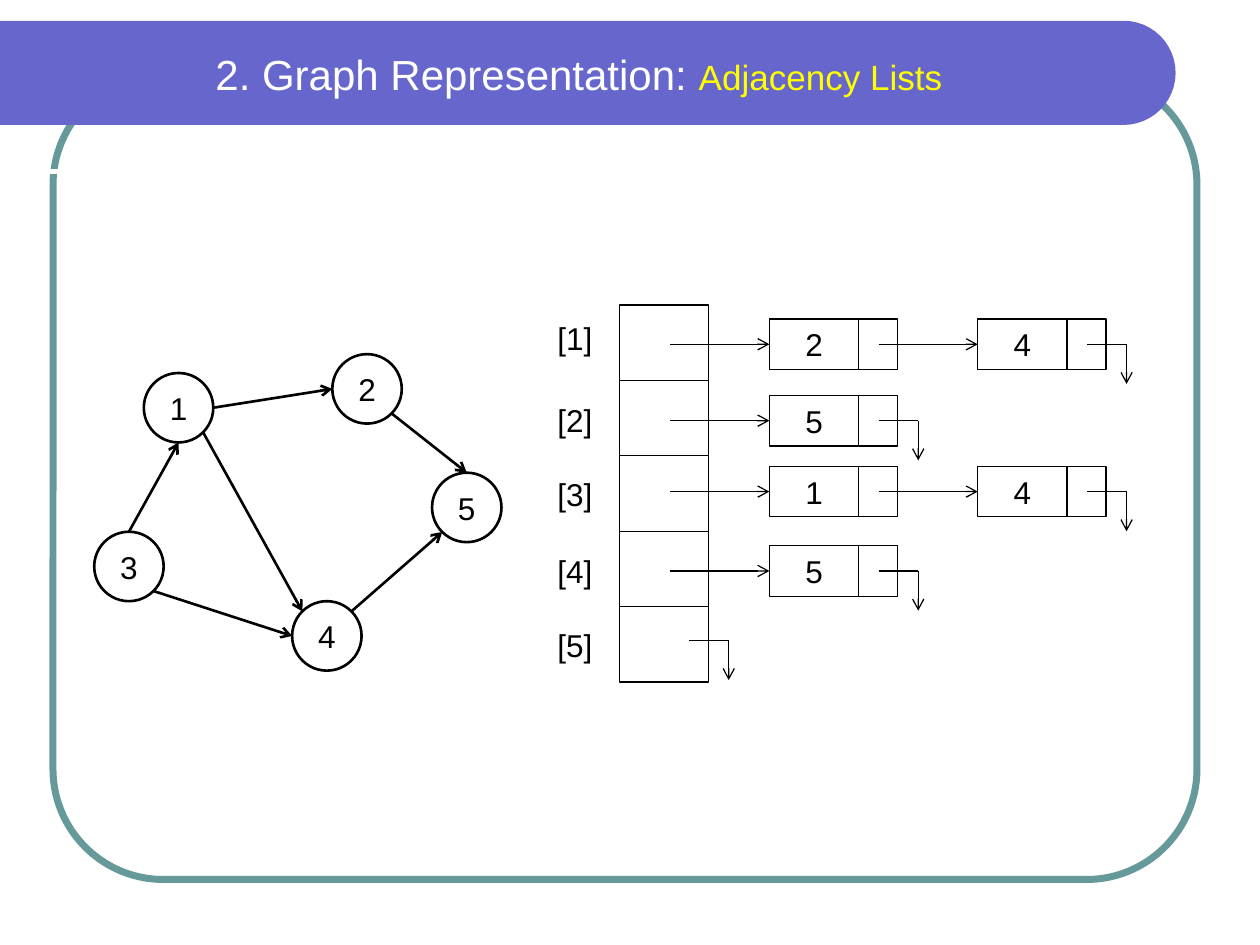
from dataclasses import dataclass
from math import cos, pi, sin

from lxml.etree import SubElement
from pptx import Presentation
from pptx.dml.color import RGBColor as RGB
from pptx.enum.shapes import MSO_CONNECTOR as Link, MSO_SHAPE as Preset
from pptx.enum.text import MSO_ANCHOR as Anchor, MSO_AUTO_SIZE as AutoSize, PP_ALIGN as Align
from pptx.oxml.ns import qn
from pptx.util import Cm, Pt


@dataclass(frozen=True)
class Theme:
    font: str = "Arial"
    ink: RGB = RGB(0x00, 0x00, 0x00)
    paper: RGB = RGB(0xFF, 0xFF, 0xFF)
    banner: RGB = RGB(0x66, 0x66, 0xCC)
    frame: RGB = RGB(0x66, 0x99, 0x99)
    accent: RGB = RGB(0xFF, 0xFF, 0x00)
    title_size: float = 24
    subtitle_size: float = 20
    label_size: float = 18
    frame_line: float = 4
    rule_line: float = 3
    edge_line: float = 1.5
    cell_line: float = 0.75


THEME = Theme()

# Vertex: left and top inside the graph box, in cm
VERTICES = {"1": (1, 0.38), "2": (4.8, 0), "3": (0, 3.58), "4": (3.99, 4.98), "5": (6.81, 2.39)}
VERTEX_SIZE = 1.4
# Compass points as angles, clockwise from the right
E, SE, S, SW, W, NW, N, NE = (step * pi / 4 for step in range(8))
EDGES = [
    ("1", E, "2", W), ("3", N, "1", S), ("4", NE, "5", SW),
    ("2", SE, "5", N), ("3", SE, "4", W), ("1", SE, "4", NW),
]

# Head label, label top, list top, adjacent vertices
ADJACENCY = [
    ("[1]", 0.15, 0.28, ["2", "4"]),
    ("[2]", 1.8, 1.82, ["5"]),
    ("[3]", 3.3, 3.25, ["1", "4"]),
    ("[4]", 4.85, 4.85, ["5"]),
    ("[5]", 6.35, 6.25, []),
]
CELL_W, CELL_H, POINTER_W = 1.8, 1.02, 0.79
SLOT_H = 1.52
FIRST_CELL, CELL_PITCH = 4.82, 4.2
STUB = 0.8


def add_run(paragraph, text, size, color):
    run = paragraph.add_run()
    run.text = text
    for name, value in {"name": THEME.font, "size": Pt(size), "bold": False}.items():
        setattr(run.font, name, value)
    run.font.color.rgb = color


def format_frame(frame, anchor):
    formats = {
        "word_wrap": True, "auto_size": AutoSize.NONE, "vertical_anchor": anchor,
        "margin_left": Cm(0.25), "margin_right": Cm(0.25),
        "margin_top": Cm(0.13), "margin_bottom": Cm(0.13),
    }
    for name, value in formats.items():
        setattr(frame, name, value)
    frame.paragraphs[0].alignment = Align.CENTER
    return frame.paragraphs[0]


def add_outline(shapes, preset, left, top, width, height, line, color=THEME.ink):
    outline = shapes.add_shape(preset, Cm(left), Cm(top), Cm(width), Cm(height))
    outline.shadow.inherit = False
    outline.fill.background()
    outline.line.color.rgb = color
    outline.line.width = Pt(line)
    return outline


def add_line(shapes, start, end, width, color=THEME.ink, arrow=False):
    line = shapes.add_connector(Link.STRAIGHT, *(Cm(n) for n in (*start, *end)))
    line.line.color.rgb = color
    line.line.width = Pt(width)
    properties = line.element.spPr
    if arrow:
        SubElement(properties.find(qn("a:ln")), qn("a:tailEnd"), type="arrow")
    SubElement(properties, qn("a:effectLst"))


def draw_backdrop(shapes, left, top, width, height):
    """Rounded frame with the banner and the white rule across its top."""
    frame = add_outline(shapes, Preset.ROUNDED_RECTANGLE, left, top, width, height,
                        THEME.frame_line, THEME.frame)
    frame.adjustments[0] = 0.137

    banner_top, radius, center_x = top - 1.08, 1.05, left + 21.58
    arc = [(center_x + radius * cos(pi * (step / 24 - 0.5)),
            banner_top + radius * (1 + sin(pi * (step / 24 - 0.5)))) for step in range(25)]
    outline = shapes.build_freeform(0, Cm(banner_top))
    outline.add_line_segments([(Cm(x), Cm(y)) for x, y in arc] + [(0, Cm(banner_top + 2 * radius))])
    banner = outline.convert_to_shape()
    banner.shadow.inherit = False
    banner.fill.solid()
    banner.fill.fore_color.rgb = THEME.banner
    banner.line.fill.background()

    add_line(shapes, (0, top + 1.95), (left + 21.36, top + 1.95), THEME.rule_line, THEME.paper)


def place_title(title, left, top, width, height):
    box = {"left": left, "top": top, "width": width, "height": height}
    for name, value in box.items():
        setattr(title, name, Cm(value))
    heading = format_frame(title.text_frame, Anchor.MIDDLE)
    add_run(heading, "2. Graph Representation: ", THEME.title_size, THEME.paper)
    add_run(heading, "Adjacency Lists", THEME.subtitle_size, THEME.accent)
    # The title stands in front of the banner
    title.element.getparent().append(title.element)


def draw_graph(shapes, left, top):
    radius = VERTEX_SIZE / 2

    def rim(vertex, angle):
        x, y = VERTICES[vertex]
        return left + x + radius * (1 + cos(angle)), top + y + radius * (1 + sin(angle))

    for name, (x, y) in VERTICES.items():
        vertex = add_outline(shapes, Preset.OVAL, left + x, top + y,
                             VERTEX_SIZE, VERTEX_SIZE, THEME.edge_line)
        add_run(format_frame(vertex.text_frame, Anchor.MIDDLE), name, THEME.label_size, THEME.ink)
    for source, leaving, target, entering in EDGES:
        add_line(shapes, rim(source, leaving), rim(target, entering), THEME.edge_line, arrow=True)


def draw_list(shapes, left, top, neighbours):
    """Chain of cells, closed by a bent arrow for the null pointer."""
    middle = top + CELL_H / 2
    end = left + 3.2
    for index, neighbour in enumerate(neighbours):
        x = left + FIRST_CELL + index * CELL_PITCH
        cell = add_outline(shapes, Preset.RECTANGLE, x, top, CELL_W, CELL_H, THEME.cell_line)
        add_run(format_frame(cell.text_frame, Anchor.TOP), neighbour, THEME.label_size, THEME.ink)
        add_outline(shapes, Preset.RECTANGLE, x + CELL_W, top, POINTER_W, CELL_H, THEME.cell_line)
        add_line(shapes, (x - 2, middle), (x, middle), THEME.cell_line, arrow=True)
        end = x + 2.2
    corner = (end + STUB, middle)
    add_line(shapes, (end, middle), corner, THEME.cell_line)
    add_line(shapes, corner, (corner[0], middle + STUB), THEME.cell_line, arrow=True)


def draw_adjacency(shapes, left, top):
    for row, (head, label_top, list_top, neighbours) in enumerate(ADJACENCY):
        label = shapes.add_textbox(Cm(left), Cm(top + label_top), Cm(CELL_W), Cm(CELL_H))
        add_run(format_frame(label.text_frame, Anchor.TOP), head, THEME.label_size, THEME.ink)
        add_outline(shapes, Preset.RECTANGLE, left + CELL_W, top + row * SLOT_H,
                    CELL_W, SLOT_H, THEME.cell_line)
        draw_list(shapes, left, top + list_top, neighbours)


def main():
    deck = Presentation()
    deck.slide_width, deck.slide_height = Cm(25.4), Cm(19.05)
    slide = deck.slides.add_slide(deck.slide_layouts[5])
    draw_backdrop(slide.shapes, 1.07, 1.5, 23.06, 16.23)
    place_title(slide.shapes.title, 0.53, 0.64, 22.28, 1.68)
    draw_graph(slide.shapes, 1.9, 7.14)
    draw_adjacency(slide.shapes, 10.69, 6.15)
    deck.save("out.pptx")


if __name__ == "__main__":
    main()
